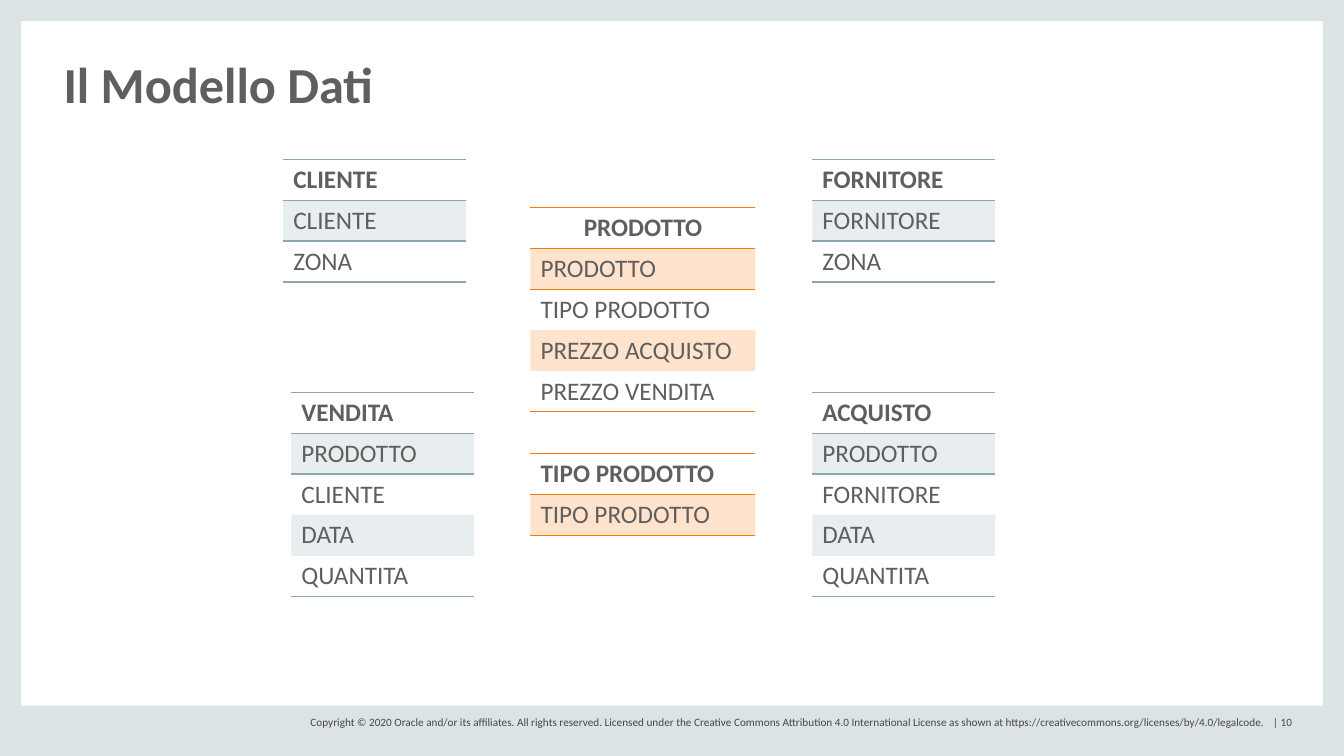
"""Build the "Il Modello Dati" slide: six entity tables inside a grey frame."""
from dataclasses import dataclass
from typing import Any

from pptx import Presentation
from pptx.dml.color import RGBColor
from pptx.enum.shapes import MSO_SHAPE
from pptx.enum.text import MSO_ANCHOR, PP_ALIGN
from pptx.oxml import parse_xml
from pptx.oxml.ns import nsdecls, qn
from pptx.util import Pt

WIDTH, HEIGHT = 960, 540
FRAME, INK, FOOTER_INK = "DCE3E4", "5F5F5F", "474747"
ORANGE, BLUE = "FF7700", "8DA6B1"
ROW_HEIGHT = 29.2
SIDE_WIDTH, CENTRE_WIDTH = 130.6, 160.7
LEFT, CENTRE, RIGHT = 202.3, 378.9, 580.2
TOP_ROW, BOTTOM_ROW = 113.8, 280.2
NO_STYLE = "{2D5ABB26-0587-4C30-8999-92F81FD0307C}"


@dataclass(frozen=True)
class Box:
    left: float
    top: float
    width: float
    height: float

    def emu(self) -> tuple:
        return Pt(self.left), Pt(self.top), Pt(self.width), Pt(self.height)


@dataclass(frozen=True)
class Entity:
    left: float
    top: float
    width: float
    color: str
    rows: tuple[str, ...]
    header_align: Any = PP_ALIGN.LEFT


BARS = (
    Box(0, 0, 15.1, HEIGHT),
    Box(WIDTH - 15.1, 0, 15.1, HEIGHT),
    Box(0, 504, WIDTH, 36),
    Box(0, 0, WIDTH, 15.1),
)

ENTITIES = (
    Entity(CENTRE, 148.2, CENTRE_WIDTH, ORANGE,
           ("PRODOTTO", "PRODOTTO", "TIPO PRODOTTO", "PREZZO ACQUISTO", "PREZZO VENDITA"),
           PP_ALIGN.CENTER),
    Entity(RIGHT, TOP_ROW, SIDE_WIDTH, BLUE, ("FORNITORE", "FORNITORE", "ZONA")),
    Entity(RIGHT, BOTTOM_ROW, SIDE_WIDTH, BLUE,
           ("ACQUISTO", "PRODOTTO", "FORNITORE", "DATA", "QUANTITA")),
    Entity(LEFT, TOP_ROW, SIDE_WIDTH, BLUE, ("CLIENTE", "CLIENTE", "ZONA")),
    Entity(LEFT + 5.8, BOTTOM_ROW, SIDE_WIDTH, BLUE,
           ("VENDITA", "PRODOTTO", "CLIENTE", "DATA", "QUANTITA")),
    Entity(CENTRE, 324, CENTRE_WIDTH, ORANGE, ("TIPO PRODOTTO", "TIPO PRODOTTO")),
)


def rgb(value: str) -> RGBColor:
    return RGBColor.from_string(value)


def apply(target: Any, values: dict[str, Any]) -> None:
    for name, value in values.items():
        setattr(target, name, value)


def write(p: Any, text: str, size: float, color: str, bold: bool = False) -> None:
    r = p.add_run()
    r.text = text
    apply(r.font, {"name": "Calibri", "size": Pt(size), "bold": bold})
    r.font.color.rgb = rgb(color)


def add_bar(slide: Any, box: Box) -> None:
    sp = slide.shapes.add_shape(MSO_SHAPE.RECTANGLE, *box.emu())
    sp.shadow.inherit = False
    sp.fill.solid()
    sp.fill.fore_color.rgb = rgb(FRAME)
    sp.line.fill.background()


def add_text(slide: Any, box: Box, anchor: Any) -> Any:
    tf = slide.shapes.add_textbox(*box.emu()).text_frame
    apply(tf, {"word_wrap": True, "vertical_anchor": anchor, "margin_left": 0,
               "margin_top": 0, "margin_right": 0, "margin_bottom": 0})
    return tf.paragraphs[0]


def add_footer(slide: Any) -> None:
    p = add_text(slide, Box(221.8, 509.8, 720, 12.2), MSO_ANCHOR.MIDDLE)
    p._p.get_or_add_pPr().append(parse_xml(
        f'<a:tabLst {nsdecls("a")}><a:tab pos="{Pt(687.5)}" algn="l"/></a:tabLst>'))
    write(p, "Copyright © 2020 Oracle and/or its affiliates. All rights reserved. "
             "Licensed under the Creative Commons Attribution 4.0 International License "
             "as shown at https://creativecommons.org/licenses/by/4.0/legalcode.\t| 10",
          8, FOOTER_INK)


def add_border(cell: Any, side: str, color: str) -> None:
    cell._tc.get_or_add_tcPr().append(parse_xml(
        f'<a:{side} {nsdecls("a")} w="{Pt(1)}"><a:solidFill>'
        f'<a:srgbClr val="{color}"/></a:solidFill></a:{side}>'))


def fill_cell(cell: Any, color: str, shaded: bool) -> None:
    if not shaded:
        cell.fill.background()
        return
    cell.fill.solid()
    cell.fill.fore_color.rgb = rgb(color)
    tint = cell._tc.tcPr.find(f'{qn("a:solidFill")}/{qn("a:srgbClr")}')
    tint.append(parse_xml(f'<a:alpha {nsdecls("a")} val="20000"/>'))


def add_entity(slide: Any, entity: Entity) -> None:
    count = len(entity.rows)
    box = Box(entity.left, entity.top, entity.width, ROW_HEIGHT * count)
    table = slide.shapes.add_table(count, 1, *box.emu()).table
    apply(table, {"first_row": False, "horz_banding": False})
    table._tbl.tblPr.find(qn("a:tableStyleId")).text = NO_STYLE
    for i, text in enumerate(entity.rows):
        table.rows[i].height = Pt(ROW_HEIGHT)
        cell = table.cell(i, 0)
        p = cell.text_frame.paragraphs[0]
        p.alignment = PP_ALIGN.LEFT if i else entity.header_align
        write(p, text, 18, INK, bold=i == 0)
        if i <= 1:
            add_border(cell, "lnT", entity.color)
        if i in (0, count - 1):
            add_border(cell, "lnB", entity.color)
        fill_cell(cell, entity.color, shaded=i % 2 == 1)


def main() -> None:
    prs = Presentation()
    apply(prs, {"slide_width": Pt(WIDTH), "slide_height": Pt(HEIGHT)})
    slide = prs.slides.add_slide(prs.slide_layouts[6])
    for bar in BARS:
        add_bar(slide, bar)
    add_footer(slide)
    title = add_text(slide, Box(45.4, 14.4, 876, 66.2), MSO_ANCHOR.BOTTOM)
    title.line_spacing = 0.8
    write(title, "Il Modello Dati", 36, INK, bold=True)
    for entity in ENTITIES:
        add_entity(slide, entity)
    prs.save("out.pptx")


if __name__ == "__main__":
    main()
